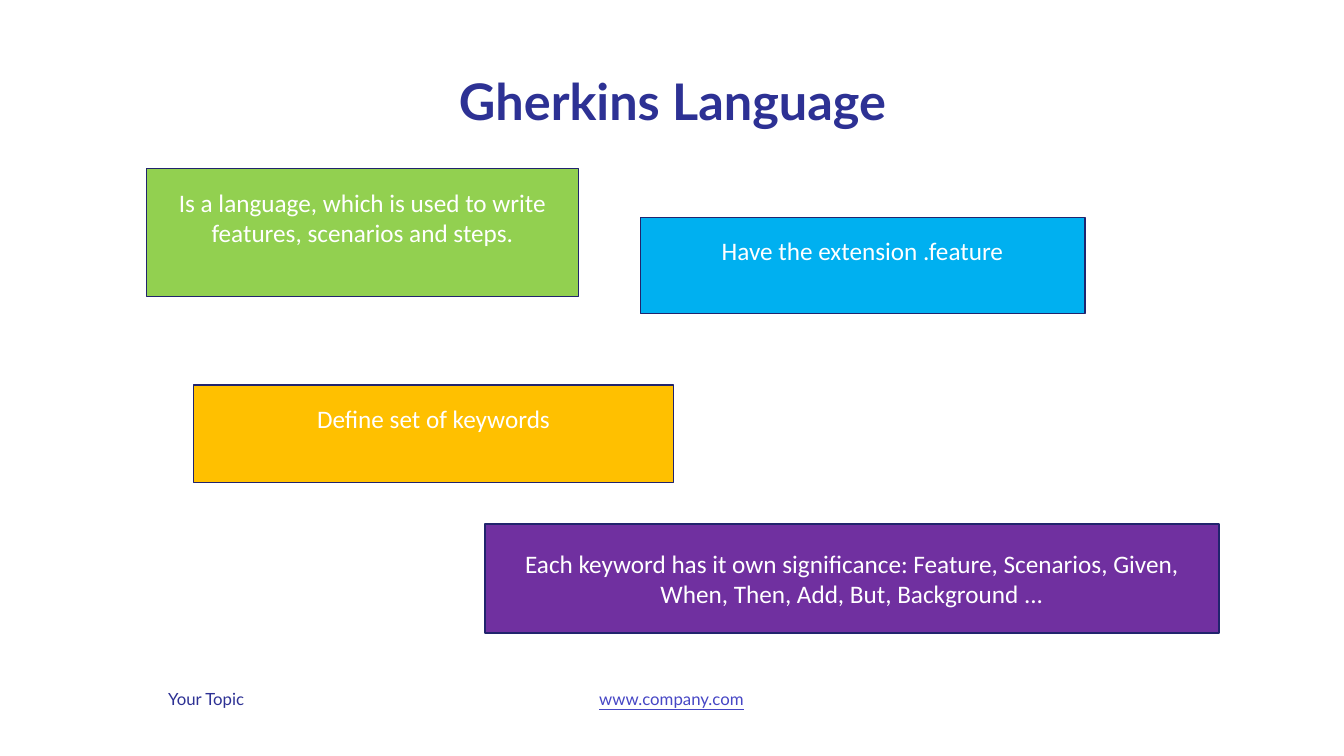
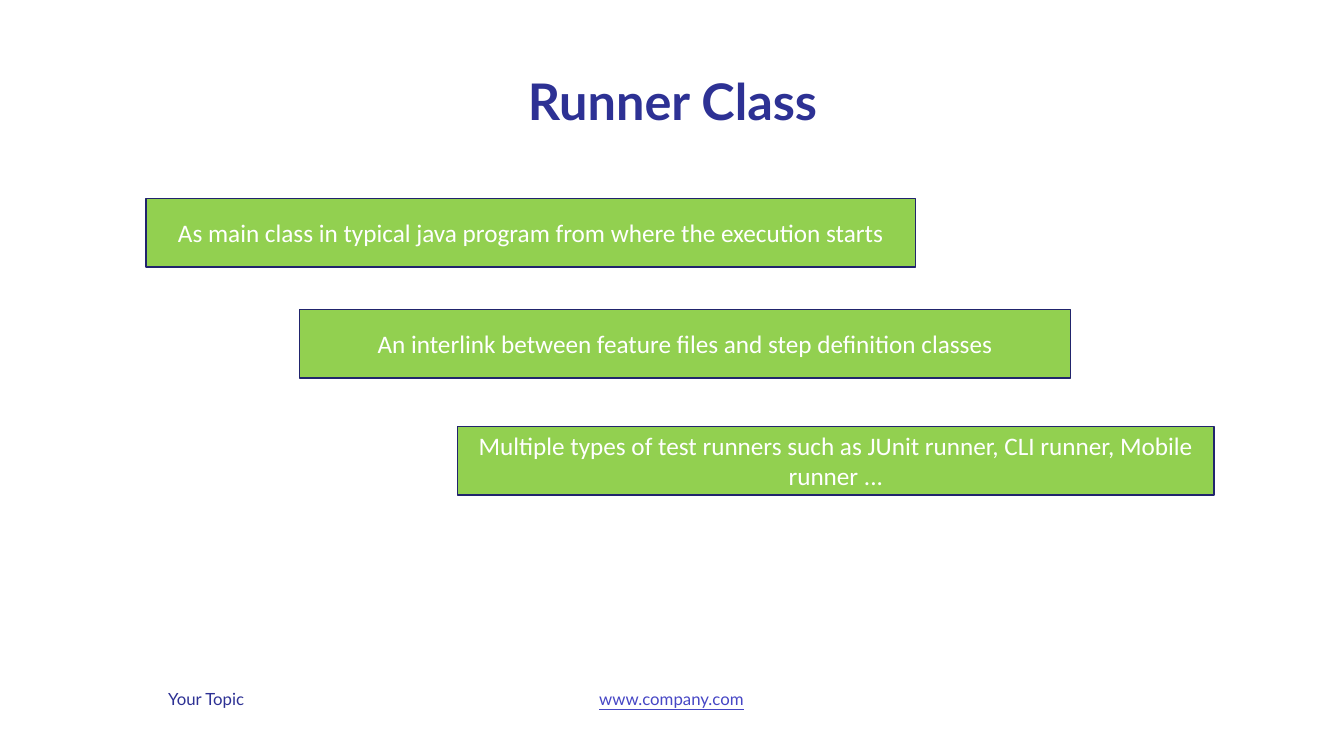
from pptx import Presentation
from pptx.dml.color import RGBColor
from pptx.enum import shapes, text
from pptx.util import Inches, Pt

NAVY = RGBColor(0x2D, 0x31, 0x94)
LINK = RGBColor(0x46, 0x46, 0xC5)
OUTLINE = RGBColor(0x21, 0x24, 0x6D)
WHITE = RGBColor(0xFF, 0xFF, 0xFF)
GREEN = RGBColor(0x92, 0xD0, 0x50)
BLUE = RGBColor(0x00, 0xB0, 0xF0)
AMBER = RGBColor(0xFF, 0xC0, 0x00)
PURPLE = RGBColor(0x70, 0x30, 0xA0)

HEADING_FONT, BODY_FONT = "Lato", "Calibri"
MARGIN = 0.05  # default inner margin above and below text
RAISED = 0.35  # bottom margin that lifts text above the middle

# Content: title, then cards of (text, (left, top, width, height), fill, bottom margin)
SLIDES = [
    ("Gherkins Language", [
        ("Is a language, which is used to write features, scenarios and steps.",
         (1.45, 1.67, 4.29, 1.27), GREEN, RAISED),
        ("Have the extension .feature",
         (6.35, 2.16, 4.41, 0.95), BLUE, RAISED),
        ("Define set of keywords",
         (1.92, 3.82, 4.76, 0.97), AMBER, RAISED),
        ("Each keyword has it own significance: Feature, Scenarios, Given, "
         "When, Then, Add, But, Background ...",
         (4.81, 5.2, 7.28, 1.08), PURPLE, MARGIN),
    ]),
    ("Runner Class", [
        ("As main class in typical java program from where the execution starts",
         (1.45, 1.97, 7.63, 0.68), GREEN, MARGIN),
        ("An interlink between feature files and step definition classes",
         (2.97, 3.07, 7.65, 0.68), GREEN, MARGIN),
        ("Multiple types of test runners such as JUnit runner, CLI runner, "
         "Mobile runner ...",
         (4.54, 4.23, 7.5, 0.68), GREEN, MARGIN),
    ]),
]

# Footer: text, left edge, format
FOOTERS = [
    ("Your Topic", 1.57, dict(color=NAVY, align=text.PP_ALIGN.LEFT)),
    ("www.company.com", 5.62, dict(color=LINK, underline=True)),
]


def write(box, words, *, size, font, color, bold=False, underline=False,
          align=text.PP_ALIGN.CENTER, anchor=text.MSO_ANCHOR.MIDDLE,
          line_spacing=None, bottom=MARGIN, auto_size=text.MSO_AUTO_SIZE.NONE):
    """Put one formatted paragraph into a shape."""
    frame = box.text_frame
    frame.word_wrap = True
    frame.auto_size = auto_size
    frame.vertical_anchor = anchor
    frame.margin_bottom = Inches(bottom)
    para = frame.paragraphs[0]
    para.alignment = align
    para.line_spacing = line_spacing
    span = para.add_run()
    span.text = words
    span.font.name = font
    span.font.size = Pt(size)
    span.font.bold = bold
    span.font.underline = underline
    span.font.color.rgb = color


def add_footers(page):
    for words, left, style in FOOTERS:
        box = page.shapes.add_textbox(
            Inches(left), Inches(6.78), Inches(2.08), Inches(0.3))
        write(box, words, size=12, font=HEADING_FONT,
              anchor=text.MSO_ANCHOR.TOP,
              auto_size=text.MSO_AUTO_SIZE.SHAPE_TO_FIT_TEXT, **style)


def set_title(page, words):
    title = page.shapes.title
    title.left, title.top = Inches(1.67), Inches(0.7)
    title.width, title.height = Inches(10), Inches(0.65)
    write(title, words, size=36, font=HEADING_FONT, color=NAVY, bold=True,
          anchor=text.MSO_ANCHOR.BOTTOM, line_spacing=Pt(43))


def add_card(page, words, place, fill, bottom):
    card = page.shapes.add_shape(
        shapes.MSO_SHAPE.RECTANGLE, *(Inches(length) for length in place))
    card.shadow.inherit = False
    card.fill.solid()
    card.fill.fore_color.rgb = fill
    card.line.color.rgb = OUTLINE
    card.line.width = Pt(1)
    write(card, words, size=18, font=BODY_FONT, color=WHITE, bottom=bottom)


def main():
    deck = Presentation()
    deck.slide_width, deck.slide_height = Inches(13.33), Inches(7.5)
    title_only = deck.slide_layouts[5]
    for heading, cards in SLIDES:
        page = deck.slides.add_slide(title_only)
        set_title(page, heading)
        for card in cards:
            add_card(page, *card)
        add_footers(page)
    deck.save("out.pptx")


if __name__ == "__main__":
    main()
